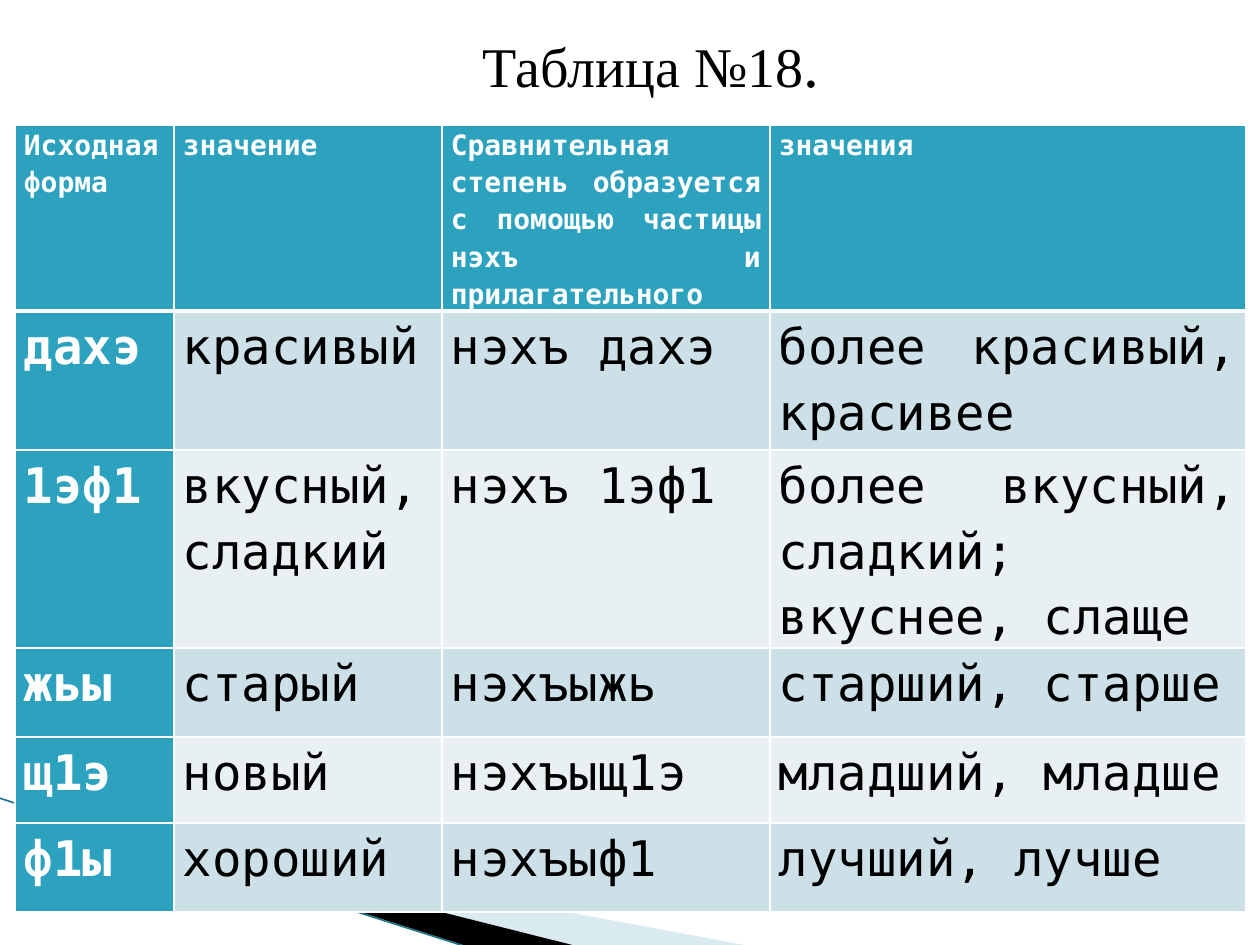
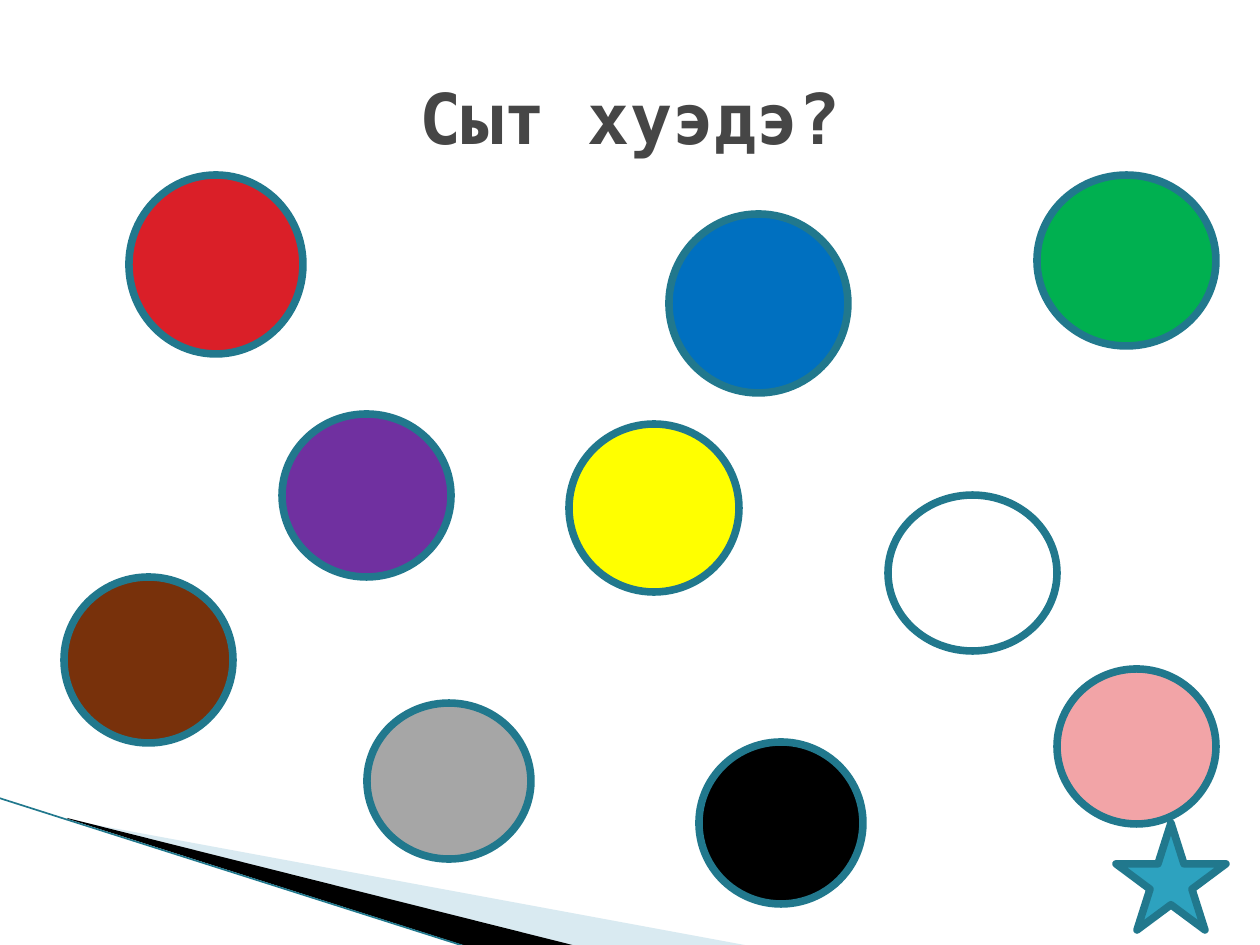
import pptx
import pptx.util
import pptx.dml.color
import pptx.enum.shapes
import pptx.enum.text
import pptx.oxml
import pptx.oxml.ns
import lxml.etree

SCALE = 914400 / 126
MONO = "DejaVu Sans Mono"
SERIF = "Times New Roman"
WHITE = "FFFFFF"
BLACK = "000000"
TEAL = "2DA2BF"
DARK_TEAL = "21788D"
GREY = "464646"
BAND_FILLS = ["CDE0E8", "E8F0F4"]

COLUMN_WIDTHS = [159, 268, 328, 476]
ROW_HEIGHTS = [185, 139, 198, 89, 86, 89]
HEADER = [
    ["Исходная ", "форма"],
    ["значение"],
    ["Сравнительная степень образуется с помощью частицы нэхъ и прилагательного"],
    ["значения"],
]
WORDS = [
    ["дахэ", "красивый", "нэхъ дахэ", "более красивый, красивее"],
    ["1эф1", "вкусный, сладкий", "нэхъ 1эф1", "более вкусный, сладкий; вкуснее, слаще"],
    ["жьы", "старый", "нэхъыжь ", "старший, старше"],
    ["щ1э", "новый", "нэхъыщ1э", "младший, младше"],
    ["ф1ы", "хороший", "нэхъыф1", "лучший, лучше"],
]
COLOUR_CIRCLES = [
    (129, 175, 174, 179, "DA1F28"),
    (1037, 175, 179, 171, "00B050"),
    (569, 424, 170, 168, "FFFF00"),
    (888, 495, 169, 156, WHITE),
    (282, 414, 169, 163, "7030A0"),
    (1057, 669, 159, 155, "F2A4A7"),
    (367, 703, 164, 156, "A6A6A6"),
    (64, 577, 169, 166, "78310B"),
    (669, 214, 179, 179, "0070C0"),
    (699, 742, 164, 162, BLACK),
]


def px(length):
    return pptx.util.Emu(round(length * SCALE))


def colour(code):
    return pptx.dml.color.RGBColor.from_string(code)


def add_child(parent, tag, **attributes):
    child = lxml.etree.SubElement(parent, pptx.oxml.ns.qn(tag))
    for name, value in attributes.items():
        child.set(name, str(value))
    return child


def add_span(para, text, size, font, code, bold=False):
    span = para.add_run()
    span.text = text
    span.font.size = pptx.util.Pt(size)
    span.font.name = font
    span.font.bold = bold
    span.font.color.rgb = colour(code)


def add_title(page, place, spans, first_indent=0):
    box = page.shapes.add_textbox(*map(px, place))
    frame = box.text_frame
    frame.word_wrap = True
    frame.vertical_anchor = pptx.enum.text.MSO_ANCHOR.MIDDLE
    para = frame.paragraphs[0]
    para.alignment = pptx.enum.text.PP_ALIGN.CENTER
    if first_indent:
        para._p.get_or_add_pPr().set("indent", str(px(first_indent)))
    for span in spans:
        add_span(para, *span)


def add_wedge(page, points, code, opacity=100):
    builder = page.shapes.build_freeform(*points[0], scale=SCALE)
    builder.add_line_segments(points[1:], close=True)
    wedge = builder.convert_to_shape()
    wedge.shadow.inherit = False
    wedge.fill.solid()
    wedge.fill.fore_color.rgb = colour(code)
    wedge.line.fill.background()
    if opacity < 100:
        tint = wedge.element.spPr.find(".//" + pptx.oxml.ns.qn("a:srgbClr"))
        add_child(tint, "a:alpha", val=opacity * 1000)


def add_corner_band(page):
    add_wedge(page, [(69, 820), (750, 946), (575, 946), (69, 819)], "A0CBDC", 40)
    add_wedge(page, [(67, 818), (576, 946), (469, 947), (68, 819)], BLACK)
    edge = page.shapes.add_connector(
        pptx.enum.shapes.MSO_CONNECTOR.STRAIGHT, px(-1), px(798), px(467), px(947))
    edge.line.color.rgb = colour(DARK_TEAL)
    edge.line.width = pptx.util.Pt(0.95)
    add_child(edge.element.spPr, "a:effectLst")


def add_outlined_shape(page, kind, place, code):
    shape = page.shapes.add_shape(kind, *map(px, place))
    shape.shadow.inherit = False
    shape.fill.solid()
    shape.fill.fore_color.rgb = colour(code)
    shape.line.color.rgb = colour(DARK_TEAL)
    shape.line.width = pptx.util.Pt(4.33)
    add_child(shape.element.spPr.find(pptx.oxml.ns.qn("a:ln")), "a:round")


def set_borders(cell, top, bottom):
    properties = cell._tc.get_or_add_tcPr()
    widths = {"a:lnL": 1, "a:lnR": 1, "a:lnT": top, "a:lnB": bottom}
    for tag, width in widths.items():
        border = add_child(properties, tag, w=pptx.util.Pt(width))
        add_child(add_child(border, "a:solidFill"), "a:srgbClr", val=WHITE)


def fill_cell(cell, lines, row, column):
    is_header = row == 0
    is_label = is_header or column == 0
    set_borders(cell, 3 if row == 1 else 1, 3 if is_header else 1)
    cell.fill.solid()
    cell.fill.fore_color.rgb = colour(TEAL if is_label else BAND_FILLS[(row - 1) % 2])
    cell.margin_left = cell.margin_right = px(9)
    cell.margin_top = cell.margin_bottom = 0
    frame = cell.text_frame
    for number, line in enumerate(lines):
        para = frame.add_paragraph() if number else frame.paragraphs[0]
        para.alignment = pptx.enum.text.PP_ALIGN.JUSTIFY
        para.line_spacing = 1.15
        add_span(para, line, 16 if is_header else 28, MONO,
                 WHITE if is_label else BLACK, is_label)


def add_word_table(page):
    rows = [HEADER] + [[[word] for word in words] for words in WORDS]
    frame = page.shapes.add_table(
        len(rows), len(COLUMN_WIDTHS), px(15), px(125),
        px(sum(COLUMN_WIDTHS)), px(sum(ROW_HEIGHTS)))
    table = frame.table
    for column, width in zip(table.columns, COLUMN_WIDTHS):
        column.width = px(width)
    for row, height in zip(table.rows, ROW_HEIGHTS):
        row.height = px(height)
    for row, cells in enumerate(rows):
        for column, lines in enumerate(cells):
            fill_cell(table.cell(row, column), lines, row, column)


def add_page(deck):
    page = deck.slides.add_slide(deck.slide_layouts[6])
    add_corner_band(page)
    return page


def main():
    deck = pptx.Presentation()
    deck.slide_width = px(1260)
    deck.slide_height = px(945)

    table_page = add_page(deck)
    add_word_table(table_page)
    add_title(table_page, (126, 18, 988, 89),
              [("Таблица №18", 32, SERIF, BLACK), (".", 36, SERIF, BLACK)], 62)

    colour_page = add_page(deck)
    add_title(colour_page, (63, 38, 1134, 158), [("Сыт хуэдэ?", 40, MONO, GREY, True)])
    shapes = pptx.enum.shapes.MSO_SHAPE
    for *place, code in COLOUR_CIRCLES:
        add_outlined_shape(colour_page, shapes.OVAL, place, code)
    add_outlined_shape(colour_page, shapes.STAR_5_POINT, (1116, 823, 110, 107), TEAL)

    deck.save("out.pptx")


if __name__ == "__main__":
    main()
